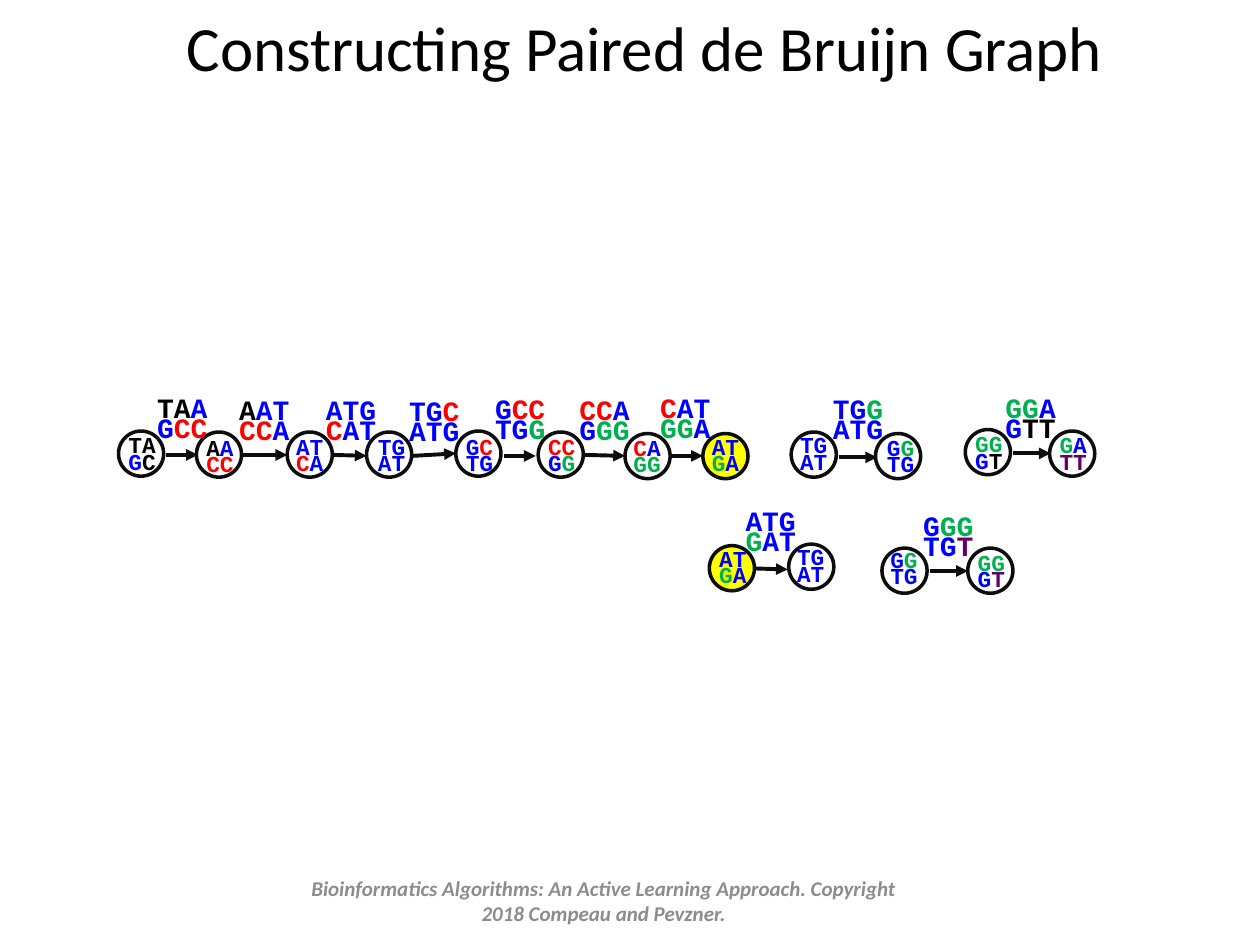
import itertools
from dataclasses import dataclass, field

import lxml.etree
import pptx
import pptx.dml.color
import pptx.enum.dml
import pptx.enum.shapes
import pptx.enum.text
import pptx.oxml
import pptx.oxml.ns
import pptx.util

Cm = pptx.util.Cm
Pt = pptx.util.Pt


@dataclass(frozen=True)
class Theme:
    text_font: str = "Calibri"
    code_font: str = "Courier New"
    title_size: int = 36
    footer_size: int = 12
    node_size: int = 13
    label_size: int = 16
    outline: str = "0D0D0D"
    highlight: str = "FFFF00"
    title_color: str = "000000"
    footer_color: str = "8C8C8C"
    letters: dict = field(default_factory=lambda: {
        "k": "000000", "b": "0000FF", "r": "FF0000", "g": "00B050", "p": "660066"})


def rgb(value):
    return pptx.dml.color.RGBColor.from_string(value)


class GraphSlide:
    """Draws paired de Bruijn graph elements on one slide in a shared style."""

    def __init__(self, slide, theme):
        self.slide = slide
        self.theme = theme

    def add_span(self, para, text, font, size, color, bold=False, italic=False):
        span = para.add_run()
        span.text = text
        span.font.name = font
        span.font.size = Pt(size)
        span.font.bold = bold
        span.font.italic = italic
        span.font.color.rgb = rgb(color)

    def centred_text(self, left, top, width, height, text, size, color, emphasis=False):
        box = self.slide.shapes.add_textbox(Cm(left), Cm(top), Cm(width), Cm(height))
        frame = box.text_frame
        frame.word_wrap = True
        frame.vertical_anchor = pptx.enum.text.MSO_ANCHOR.MIDDLE
        para = frame.paragraphs[0]
        para.alignment = pptx.enum.text.PP_ALIGN.CENTER
        self.add_span(para, text, self.theme.text_font, size, color, emphasis, emphasis)

    def pair(self, left, top, text, colors, size):
        lines = list(zip(text.split("/"), colors.split("/")))
        width = Cm(0.51) + Pt(0.6 * size * len(lines[0][0]))
        height = Cm(0.25) + Pt(1.4 * size)
        box = self.slide.shapes.add_textbox(Cm(left), Cm(top), width, height)
        frame = box.text_frame
        frame.word_wrap = False
        frame.auto_size = pptx.enum.text.MSO_AUTO_SIZE.SHAPE_TO_FIT_TEXT
        for index, (letters, codes) in enumerate(lines):
            para = frame.add_paragraph() if index else frame.paragraphs[0]
            para.line_spacing = 0.6
            for code, group in itertools.groupby(zip(letters, codes), lambda item: item[1]):
                part = "".join(letter for letter, _ in group)
                self.add_span(para, part, self.theme.code_font, size,
                              self.theme.letters[code], bold=True)

    def node(self, left, top, text_left, text_top, text, colors, repeated=False):
        circle = self.slide.shapes.add_shape(
            pptx.enum.shapes.MSO_SHAPE.OVAL, Cm(left), Cm(top), Cm(0.91), Cm(0.91))
        circle.shadow.inherit = False
        circle.line.color.rgb = rgb(self.theme.outline)
        circle.line.width = Pt(2)
        if repeated:
            circle.fill.solid()
            circle.fill.fore_color.rgb = rgb(self.theme.highlight)
        else:
            circle.fill.background()
        self.pair(text_left, text_top, text, colors, self.theme.node_size)

    def edge(self, start_x, start_y, end_x, end_y, text_left, text_top, text, colors):
        arrow = self.slide.shapes.add_connector(
            pptx.enum.shapes.MSO_CONNECTOR.STRAIGHT,
            Cm(start_x), Cm(start_y), Cm(end_x), Cm(end_y))
        arrow.line.color.rgb = rgb(self.theme.outline)
        arrow.line.width = Pt(2.25)
        qn = pptx.oxml.ns.qn
        properties = arrow._element.spPr
        lxml.etree.SubElement(properties.find(qn("a:ln")), qn("a:tailEnd"), type="triangle")
        lxml.etree.SubElement(properties, qn("a:effectLst"))
        self.pair(text_left, text_top, text, colors, self.theme.label_size)


NODES = [
    (2.39, 8.69, 2.34, 8.76, "TA/GC", "kk/bk"),
    (3.96, 8.71, 3.91, 8.81, "AA/CC", "kb/rr"),
    (5.79, 8.71, 5.72, 8.79, "AT/CA", "bb/rb"),
    (7.39, 8.71, 7.37, 8.79, "TG/AT", "bb/bb"),
    (9.19, 8.69, 9.14, 8.79, "GC/TG", "br/bb"),
    (10.85, 8.71, 10.8, 8.79, "CC/GG", "rr/bg"),
    (12.6, 8.74, 12.52, 8.81, "CA/GG", "rb/gg"),
    (14.17, 8.74, 14.1, 8.79, "AT/GA", "bb/gb", True),
    (14.3, 11, 14.25, 11.05, "AT/GA", "bb/gb", True),
    (15.9, 10.97, 15.82, 11.02, "TG/AT", "bb/bb"),
    (15.95, 8.71, 15.88, 8.76, "TG/AT", "bb/bb"),
    (17.65, 8.74, 17.63, 8.81, "GG/TG", "bg/bb"),
    (17.78, 11.05, 17.7, 11.07, "GG/TG", "bg/bb"),
    (19.51, 11.05, 19.46, 11.13, "GG/GT", "gg/bp"),
    (19.46, 8.66, 19.41, 8.74, "GG/GT", "gg/bk"),
    (21.16, 8.69, 21.11, 8.76, "GA/TT", "gb/pp"),
]

EDGES = [
    (3.35, 9.17, 3.99, 9.17, 2.92, 7.98, "TAA/GCC", "kkb/brr"),
    (4.88, 9.17, 5.79, 9.17, 4.57, 8.03, "AAT/CCA", "kbb/rrb"),
    (6.71, 9.17, 7.39, 9.19, 6.32, 8.03, "ATG/CAT", "bbb/rbb"),
    (8.31, 9.19, 9.19, 9.14, 8, 8.05, "TGC/ATG", "bbr/bbb"),
    (10.16, 9.19, 10.8, 9.19, 9.73, 8, "GCC/TGG", "brr/bbg"),
    (11.76, 9.17, 12.6, 9.19, 11.43, 8.03, "CCA/GGG", "rrb/bgg"),
    (13.54, 9.19, 14.17, 9.19, 13.06, 7.98, "CAT/GGA", "rbb/ggb"),
    (15.24, 11.46, 15.88, 11.48, 14.78, 10.26, "ATG/GAT", "bbb/gbb"),
    (16.92, 9.22, 17.68, 9.22, 16.54, 8, "TGG/ATG", "bbg/bbb"),
    (18.75, 11.51, 19.51, 11.51, 18.36, 10.36, "GGG/TGT", "bgg/bbp"),
    (20.42, 9.14, 21.18, 9.14, 20.02, 7.98, "GGA/GTT", "ggb/bkk"),
]


def main():
    deck = pptx.Presentation()
    deck.slide_width = Cm(25.4)
    deck.slide_height = Cm(19.05)
    theme = Theme()
    page = GraphSlide(deck.slides.add_slide(deck.slide_layouts[6]), theme)
    page.centred_text(0.18, 0.03, 25.63, 1.8, "Constructing Paired de Bruijn Graph",
                      theme.title_size, theme.title_color)
    for node in NODES:
        page.node(*node)
    for edge in EDGES:
        page.edge(*edge)
    page.centred_text(
        5.72, 17.65, 12.9, 1.02,
        "Bioinformatics Algorithms: An Active Learning Approach. "
        "Copyright 2018 Compeau and Pevzner.",
        theme.footer_size, theme.footer_color, emphasis=True)
    deck.save("out.pptx")


if __name__ == "__main__":
    main()
